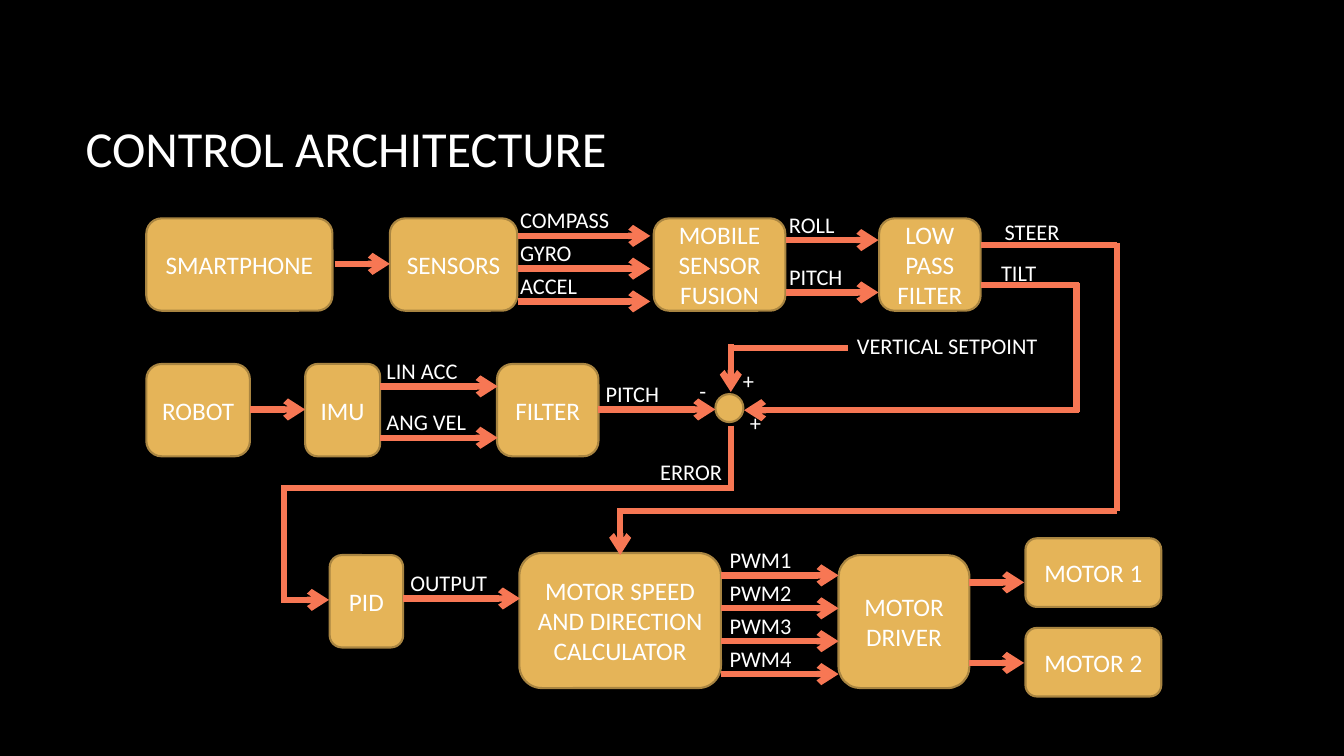
"""Build the control architecture block diagram slide."""
from lxml.etree import SubElement
from pptx import Presentation
from pptx.dml.color import RGBColor
from pptx.enum.shapes import MSO_CONNECTOR, MSO_SHAPE
from pptx.enum.text import MSO_ANCHOR, MSO_AUTO_SIZE, PP_ALIGN
from pptx.oxml.ns import qn
from pptx.util import Pt

COLORS = {"back": "000000", "block": "E5B458", "border": "A98541",
          "wire": "F77754", "text": "FFFFFF"}
FONT = "Calibri"
LABEL_HEIGHT = 26.5
LABEL_RISE = 24.5

BLOCKS = [
    ("SMARTPHONE", 104.5, 156, 133, 66),
    ("SENSORS", 278.5, 156, 91, 66),
    ("MOBILE SENSOR FUSION", 467, 156, 94, 66),
    ("LOW PASS FILTER", 628, 156, 72.5, 66),
    ("ROBOT", 104.5, 260, 74, 66),
    ("IMU", 218, 260, 53.5, 66),
    ("FILTER", 355, 260, 72.5, 66),
    ("PID", 235.5, 396.5, 52.5, 66),
    ("MOTOR SPEED AND DIRECTION CALCULATOR", 371, 395, 144, 96.5),
    ("MOTOR DRIVER", 599, 396.5, 93.5, 95),
    ("MOTOR 1", 732.5, 384.5, 97, 49),
    ("MOTOR 2", 732.5, 448.5, 97, 49),
]

SIGNAL_GROUPS = [
    (370, 464.5, 168.5, 23.4, -5.5, [("COMPASS", 79), ("GYRO", 52), ("ACCEL", 55.5)]),
    (561.5, 627.5, 171.5, 37.4, -5, [("ROLL", 47.5), ("PITCH", 53.5)]),
    (271.5, 355.5, 276, 36.7, -2.5, [("LIN ACC", 66), ("ANG VEL", 72)]),
    (427.5, 511, 292.5, 0, -2, [("PITCH", 53.5)]),
    (288, 371.5, 427.5, 0, -2, [("OUTPUT", 70)]),
    (515, 599, 411, 23.5, -1, [(f"PWM{number}", 59) for number in range(1, 5)]),
]

ARROWS = [
    (239, 188.5, 278.5, 188.5),
    (178.5, 292.5, 218, 292.5),
    (522, 246, 522, 280),
    (770.5, 293, 531.5, 293),
    (201, 428.5, 235, 428.5),
    (443, 363, 443, 396.5),
    (692, 416, 731.5, 416),
    (692, 473.5, 731.5, 473.5),
]

LINES = [
    (521, 248.5, 605.5, 248.5),
    (700.5, 203.5, 770.5, 203.5),
    (769, 202, 769, 294.5),
    (522, 304, 522, 351),
    (524, 348.5, 201, 348.5),
    (203, 429, 203, 346.5),
    (700.5, 175, 798, 175),
    (798, 173.5, 798, 365),
    (443, 365, 798, 365),
]

LABELS = [
    ("VERTICAL SETPOINT", 605, 234, 145.5),
    ("STEER", 710.5, 152.5, 55),
    ("TILT", 708, 181.5, 39.5),
    ("ERROR", 464.5, 324, 60),
    ("-", 492.5, 265.5, 19.5),
    ("+", 523.5, 259, 22.5),
    ("+", 528.5, 288.5, 22.5),
]


def color(name):
    """Return the named colour."""
    return RGBColor.from_string(COLORS[name])


def write(frame, text, size, align):
    """Put one formatted paragraph in a text frame."""
    frame.text = text
    para = frame.paragraphs[0]
    para.alignment = align
    for span in para.runs:
        span.font.name = FONT
        span.font.size = Pt(size)
        span.font.color.rgb = color("text")


def add_title(page, text):
    """Place and format the title placeholder."""
    title = page.shapes.title
    title.left, title.top, title.width, title.height = Pt(54), Pt(48), Pt(798), Pt(114.5)
    title.text_frame.vertical_anchor = MSO_ANCHOR.MIDDLE
    write(title.text_frame, text, 36, PP_ALIGN.LEFT)


def add_node(page, kind, left, top, width, height):
    """Add a filled and bordered shape."""
    node = page.shapes.add_shape(kind, Pt(left), Pt(top), Pt(width), Pt(height))
    node.shadow.inherit = False
    node.fill.solid()
    node.fill.fore_color.rgb = color("block")
    node.line.color.rgb = color("border")
    node.line.width = Pt(1.5)
    return node


def add_block(page, text, left, top, width, height):
    """Add a rounded block with a centred name."""
    block = add_node(page, MSO_SHAPE.ROUNDED_RECTANGLE, left, top, width, height)
    block.text_frame.word_wrap = True
    block.text_frame.vertical_anchor = MSO_ANCHOR.MIDDLE
    write(block.text_frame, text, 18, PP_ALIGN.CENTER)


def add_label(page, text, left, top, width):
    """Add an unwrapped signal name."""
    box = page.shapes.add_textbox(Pt(left), Pt(top), Pt(width), Pt(LABEL_HEIGHT))
    box.text_frame.word_wrap = False
    box.text_frame.auto_size = MSO_AUTO_SIZE.SHAPE_TO_FIT_TEXT
    write(box.text_frame, text, 16, PP_ALIGN.LEFT)


def add_wire(page, start_x, start_y, end_x, end_y, arrow=False):
    """Add a straight wire, with an arrowhead at its end if asked."""
    wire = page.shapes.add_connector(
        MSO_CONNECTOR.STRAIGHT, Pt(start_x), Pt(start_y), Pt(end_x), Pt(end_y))
    wire.line.color.rgb = color("wire")
    wire.line.width = Pt(4.5)
    if arrow:
        SubElement(wire.line._get_or_add_ln(), qn("a:tailEnd"), type="arrow")
    SubElement(wire._element.spPr, qn("a:effectLst"))


def add_signals(page, start, end, top, step, shift, names):
    """Add evenly spaced arrows with a name above each."""
    for index, (name, width) in enumerate(names):
        level = top + index * step
        add_label(page, name, start + shift, level - LABEL_RISE, width)
        add_wire(page, start, level, end, level, arrow=True)


def main():
    """Build and save the deck."""
    deck = Presentation()
    deck.slide_width, deck.slide_height = Pt(960), Pt(540)
    page = deck.slides.add_slide(deck.slide_layouts[5])
    page.background.fill.solid()
    page.background.fill.fore_color.rgb = color("back")
    add_title(page, "CONTROL ARCHITECTURE")
    for block in BLOCKS:
        add_block(page, *block)
    add_node(page, MSO_SHAPE.OVAL, 511, 281.5, 20, 20)
    for group in SIGNAL_GROUPS:
        add_signals(page, *group)
    for line in LINES:
        add_wire(page, *line)
    for arrow in ARROWS:
        add_wire(page, *arrow, arrow=True)
    for label in LABELS:
        add_label(page, *label)
    deck.save("out.pptx")


if __name__ == "__main__":
    main()
